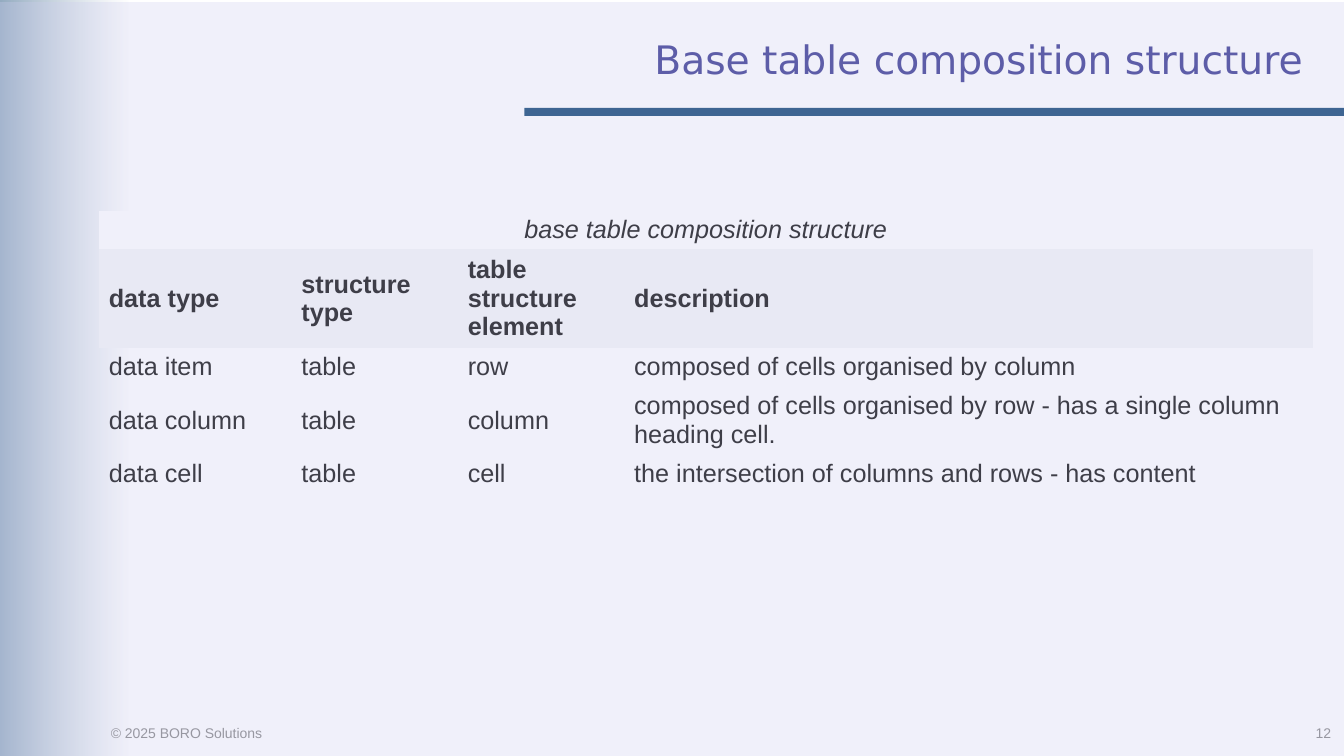
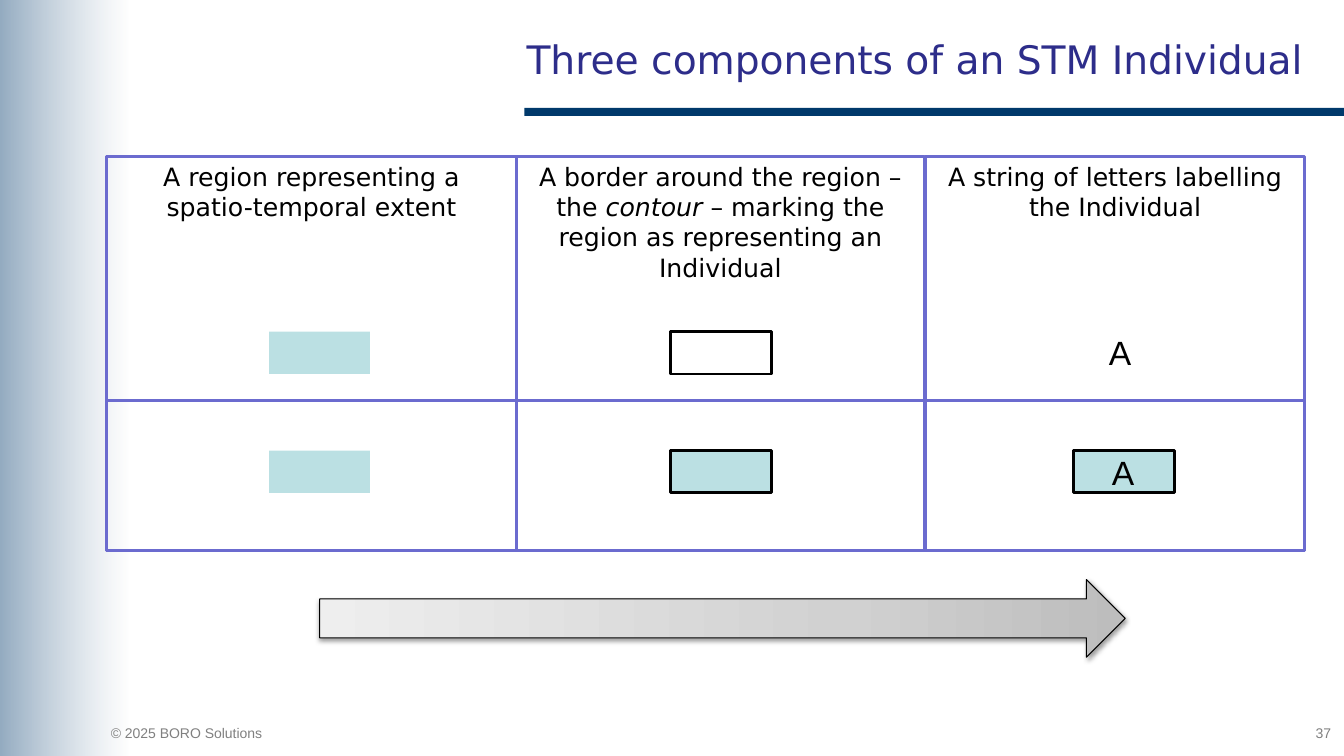
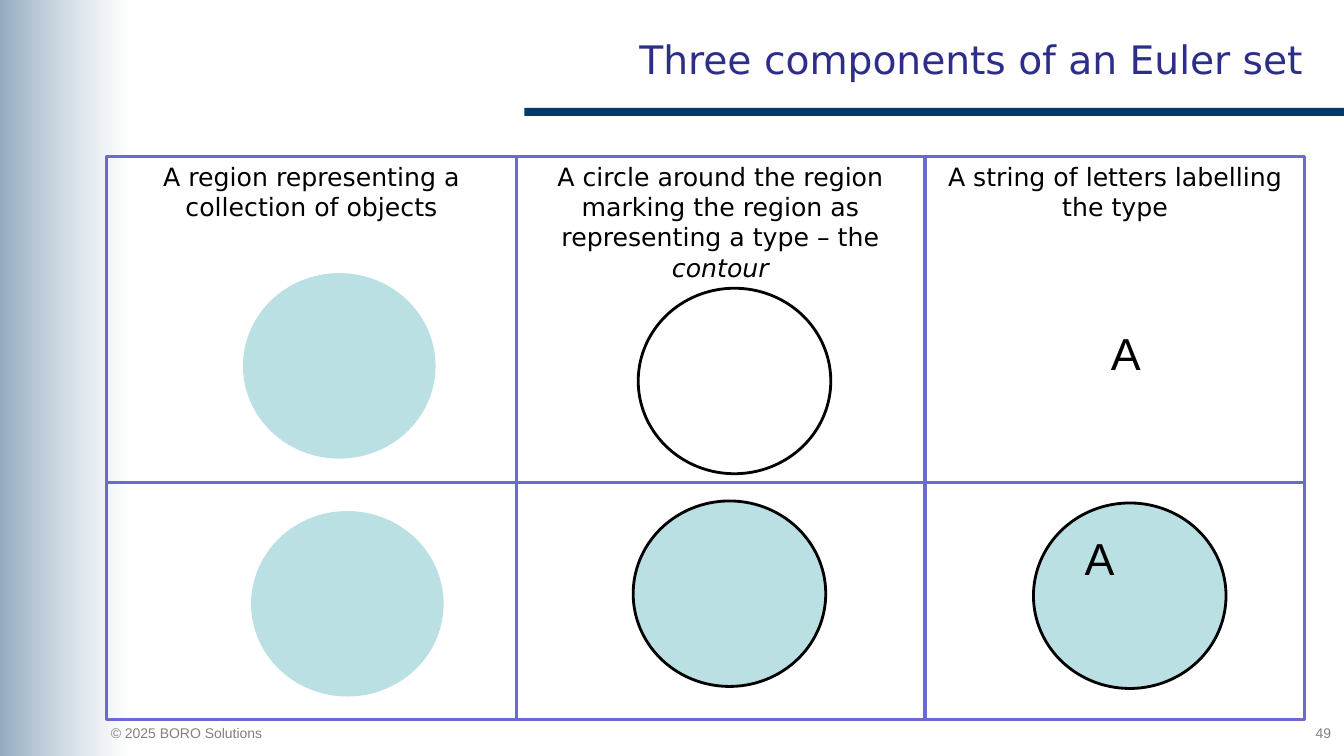
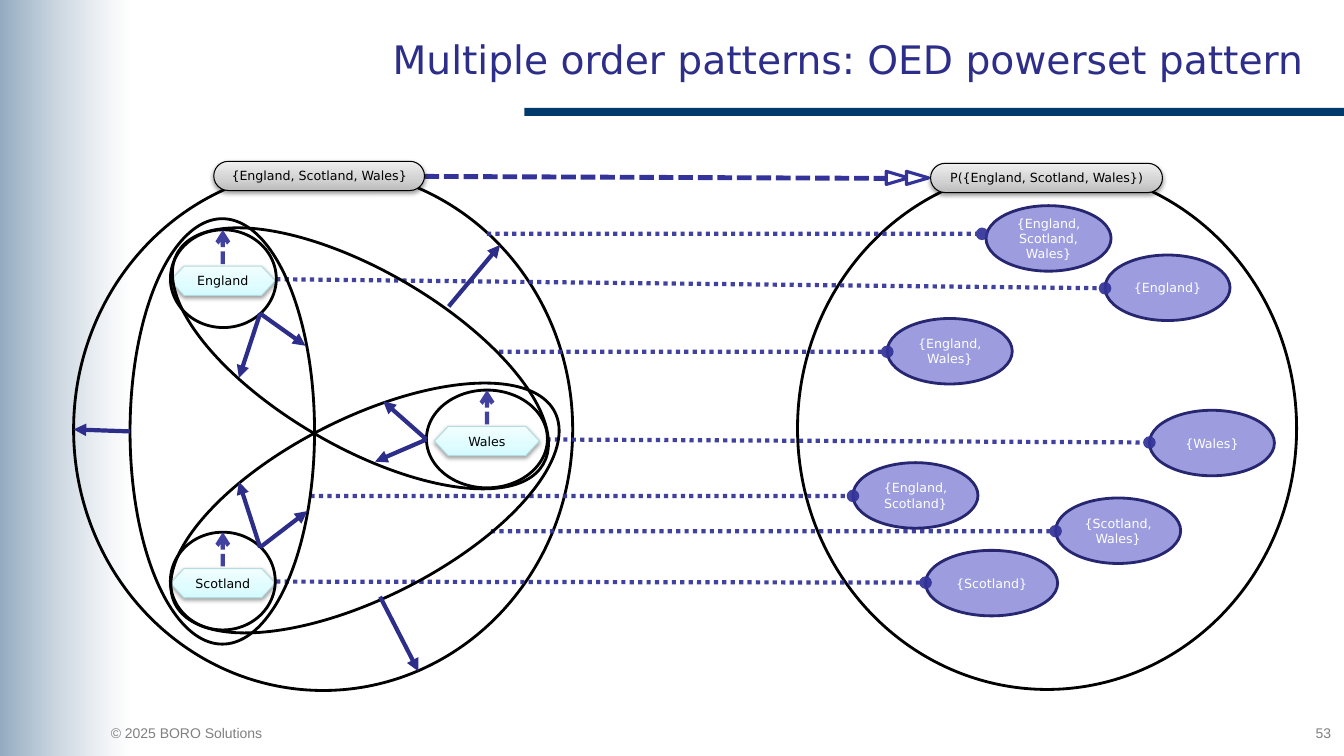
from pptx import Presentation
from pptx.dml.color import RGBColor
from pptx.enum.dml import MSO_LINE
from pptx.enum.shapes import MSO_CONNECTOR, MSO_SHAPE
from pptx.enum.text import MSO_ANCHOR, PP_ALIGN
from pptx.oxml import parse_xml
from pptx.oxml.ns import nsdecls, qn
from pptx.util import Emu, Pt

PX = 9144
RECT, OVAL = MSO_SHAPE.RECTANGLE, MSO_SHAPE.OVAL
PILL, HEX, ARROW = MSO_SHAPE.ROUNDED_RECTANGLE, MSO_SHAPE.HEXAGON, MSO_SHAPE.RIGHT_ARROW
DASH, DOT = MSO_LINE.SQUARE_DOT, MSO_LINE.ROUND_DOT
LINE = MSO_CONNECTOR.STRAIGHT
TOP, MID = MSO_ANCHOR.TOP, MSO_ANCHOR.MIDDLE
LEFT, CENTER, RIGHT = PP_ALIGN.LEFT, PP_ALIGN.CENTER, PP_ALIGN.RIGHT

SANS, ARIAL = "DejaVu Sans", "Arial"
BLACK, WHITE, GREY = "000000", "FFFFFF", "808080"
NAVY, INK, BLUE, LILAC, AQUA = "00396B", "2D2D8A", "333399", "6B6BCF", "BBE0E3"
STEEL = [(0, "BDBDBD", 100), (35, "D1D1D1", 100), (100, "EEEEEE", 100)]
ICE = [(0, "D3FBFF", 100), (35, "DFFCFF", 100), (100, "F2FEFF", 100)]
FADE = [(0, "01396C", 61), (100, WHITE, 41)]
PLAIN = "{2D5ABB26-0587-4C30-8999-92F81FD0307C}"

COLS = [(106, 406), (512, 405), (918, 376)]


def px(*nums):
    return [Emu(n * PX) for n in nums]


def rgb(code):
    return RGBColor.from_string(code)


def xml(text):
    return parse_xml(text.replace(">", " " + nsdecls("a") + ">", 1))


def write(frame, text, size, font=SANS, color=BLACK, align=CENTER, anchor=MID,
          bold=False, slant=False):
    frame.word_wrap = True
    frame.vertical_anchor = anchor
    para = frame.paragraphs[0]
    para.alignment = align
    parts = text.split("_")
    para.text = parts[0]
    for part in parts[1:]:
        para.add_run().text = part
    italic = {run for run in parts[1::2]}
    for run in para.runs:
        run.font.size = Pt(size)
        run.font.name = font
        run.font.bold = bold
        run.font.italic = slant or run.text in italic
        run.font.color.rgb = rgb(color)


def alpha(shape, share):
    for node in shape._element.spPr.iter(qn("a:srgbClr")):
        node.append(xml(f'<a:alpha val="{share * 1000}"/>'.replace("/>", "></a:alpha>")))


def blend(shape, stops, angle):
    shape.fill.background()
    marks = "".join(
        f'<a:gs pos="{at * 1000}"><a:srgbClr val="{code}">'
        f'<a:alpha val="{share * 1000}"/></a:srgbClr></a:gs>'
        for at, code, share in stops)
    grad = xml(f'<a:gradFill rotWithShape="1"><a:gsLst>{marks}</a:gsLst>'
               f'<a:lin ang="{angle * 60000}" scaled="0"/></a:gradFill>')
    props = shape._element.spPr
    props.replace(props.find(qn("a:noFill")), grad)


def shade(shape):
    glow = xml('<a:outerShdw blurRad="40000" dist="20000" dir="5400000" rotWithShape="0">'
               '<a:srgbClr val="000000"><a:alpha val="38000"/></a:srgbClr></a:outerShdw>')
    shape._element.spPr.find(qn("a:effectLst")).append(glow)


def draw(slide, kind, at, fill=None, edge=None, width=2, turn=0):
    shape = slide.shapes.add_shape(kind, *px(*at))
    shape.shadow.inherit = False
    shape.rotation = turn
    if fill:
        shape.fill.solid()
        shape.fill.fore_color.rgb = rgb(fill)
    else:
        shape.fill.background()
    if edge:
        shape.line.color.rgb = rgb(edge)
        shape.line.width = Pt(width)
    else:
        shape.line.fill.background()
    return shape


def badge(slide, kind, at, stops, edge, angle=270, text=""):
    shape = draw(slide, kind, at, edge=edge, width=0.75)
    blend(shape, stops, angle)
    shade(shape)
    if text:
        write(shape.text_frame, text, 9)
    return shape


def link(slide, start, end, color=INK, width=3, dash=None, head=None, share=100):
    line = slide.shapes.add_connector(LINE, *px(*start, *end))
    line.line.color.rgb = rgb(color)
    line.line.width = Pt(width)
    if dash:
        line.line.dash_style = dash
    if share < 100:
        alpha(line, share)
    if head:
        line.line._get_or_add_ln().append(xml(f'<a:tailEnd type="{head}"></a:tailEnd>'))
    line._element.spPr.append(xml("<a:effectLst></a:effectLst>"))


def label(slide, at, text, size, color=BLACK, align=LEFT):
    box = slide.shapes.add_textbox(*px(*at))
    write(box.text_frame, text, size, ARIAL, color, align, TOP)
    return box


def frame(slide):
    rule = draw(slide, RECT, (520, 107, 813, 8), NAVY)
    band = draw(slide, RECT, (0, 0, 127, 750))
    blend(band, FADE, 0)
    veil = draw(slide, RECT, (0, 0, 127, 750), WHITE)
    alpha(veil, 30)
    foot = label(slide, (100, 714, 252, 27), "© 2025 BORO Solutions", 10, GREY)
    tree = slide.slide_layout.shapes._spTree
    for part in (rule, band, veil, foot):
        tree.append(part._element)


def page(deck, title, number):
    slide = deck.slides.add_slide(deck.slide_layouts[5])
    head = slide.shapes.title
    head.left, head.top, head.width, head.height = px(123, 15, 1179, 87)
    write(head.text_frame, title, 28, color=INK, align=RIGHT)
    label(slide, (1202, 714, 128, 31), str(number), 10, GREY, RIGHT)
    return slide


def table(slide, rows, at, widths, heights):
    grid = slide.shapes.add_table(len(rows), len(widths), *px(*at)).table
    grid.first_row = grid.horz_banding = False
    grid._tbl.tblPr.find(qn("a:tableStyleId")).text = PLAIN
    for col, width in zip(grid.columns, px(*widths)):
        col.width = width
    grid.cell(0, 0).merge(grid.cell(0, len(widths) - 1))
    for r, row in enumerate(rows):
        grid.rows[r].height = px(heights[r])[0]
        for c, text in enumerate(row):
            cell = grid.cell(r, c)
            cell.margin_top, cell.margin_bottom = px(4, 4)
            if r < 2:
                cell.fill.solid()
                cell.fill.fore_color.rgb = rgb((WHITE, "F4F5F7")[r])
            else:
                cell.fill.background()
            write(cell.text_frame, text, 18, ARIAL, align=LEFT if r else CENTER,
                  bold=r == 1, slant=r == 0)
            cell.vertical_anchor = MID


def panels(slide, notes, split, bottom):
    for (left, width), note in zip(COLS, notes):
        panel = draw(slide, RECT, (left, 155, width, bottom - 155), edge=LILAC)
        write(panel.text_frame, note, 18, anchor=TOP)
    draw(slide, RECT, (106, split, 1188, bottom - split), edge=LILAC)


def marks(slide, kind, size, spots):
    for left, top, fill, edge in spots:
        draw(slide, kind, (left, top, *size), fill, edge)


def base(deck):
    slide = page(deck, "Base table composition structure", 12)
    frame(slide)
    rows = [
        ["base table composition structure"],
        ["data type", "structure type", "table structure element", "description"],
        ["data item", "table", "row", "composed of cells organised by column"],
        ["data column", "table", "column",
         "composed of cells organised by row - has a single column heading cell."],
        ["data cell", "table", "cell", "the intersection of columns and rows - has content"],
    ]
    table(slide, rows, (98, 209, 1204, 274), (191, 165, 165, 683), (38, 94, 37, 68, 37))
    alpha(draw(slide, RECT, (0, 2, 1333, 748), "CECEEF"), 30)


def parts(deck):
    slide = page(deck, "Three components of an STM Individual", 37)
    panels(slide, [
        "A region representing a spatio-temporal extent",
        "A border around the region – the _contour_ – marking the region as "
        "representing an Individual",
        "A string of letters labelling the Individual"], 397, 546)
    marks(slide, RECT, (100, 42), [
        (267, 329, AQUA, None), (665, 329, None, BLACK),
        (267, 447, AQUA, None), (665, 447, AQUA, BLACK), (1065, 447, AQUA, BLACK)])
    label(slide, (1090, 324, 43, 50), "A", 24)
    label(slide, (1093, 443, 44, 50), "A", 24)
    badge(slide, ARROW, (317, 575, 799, 77), STEEL, BLACK, 180)


def euler(deck):
    slide = page(deck, "Three components of an Euler set", 49)
    panels(slide, [
        "A region representing a collection of objects",
        "A circle around the region marking the region as representing a type – the _contour_",
        "A string of letters labelling the type"], 479, 714)
    marks(slide, OVAL, (191, 184), [
        (241, 271, AQUA, None), (633, 286, None, BLACK),
        (249, 507, AQUA, None), (628, 497, AQUA, BLACK), (1025, 499, AQUA, BLACK)])
    label(slide, (1066, 522, 51, 64), "A", 32)
    label(slide, (1092, 318, 51, 64), "A", 32)


def nation(slide, name, left, top, ring, width):
    shape = badge(slide, HEX, (left, top, 104, 29), ICE, "B6DCDF", text=name)
    shape.adjustments[0] = 0.465
    draw(slide, OVAL, (ring, top - 36, width, 97), edge=BLACK)
    mid = left + 52
    link(slide, (mid, top - 2), (mid, top - 36), BLUE, 3, DASH, "arrow", 93)


def power(deck):
    slide = page(deck, "Multiple order patterns: OED powerset pattern", 53)
    for left, top in ((73, 167), (791, 166)):
        draw(slide, OVAL, (left, top, 495, 518), edge=BLACK)

    sets = [
        ("{England, Scotland, Wales}", (978, 204), 124, (483, 232), (974, 232)),
        ("{England}", (1096, 253), 124, (274, 277), (1096, 286)),
        ("{England, Scotland}", (846, 459), 124, (308, 492), (846, 492)),
        ("{Wales}", (1140, 407), 124, (542, 436), (1140, 439)),
        ("{Scotland, Wales}", (1047, 494), 124, (487, 527), (1047, 527)),
        ("{England,\vWales}", (880, 316), 124, (495, 349), (880, 349)),
        ("{Scotland}", (918, 546), 131, (274, 577), (918, 578)),
    ]
    for text, spot, width, start, end in sets:
        shape = draw(slide, OVAL, (*spot, width, 65), "9C9CDF", "262671")
        write(shape.text_frame, text, 9, color=WHITE)
        link(slide, start, end, BLUE, 3, DOT, "oval", 93)

    for left in (879, 899):
        tip = draw(slide, ARROW, (left, 170, 22, 13), WHITE, BLUE, 2.25)
        tip.adjustments[0], tip.adjustments[1] = 0.219, 1.769
    link(slide, (421, 175), (879, 177), BLUE, 3.5, DASH)

    nation(slide, "England", 169, 264, 169, 105)
    nation(slide, "Wales", 431, 423, 423, 120)
    nation(slide, "Scotland", 169, 564, 169, 104)

    for at, turn in (((129, 217, 183, 422), 0), ((270, 146, 175, 419), 300.1),
                     ((273, 293, 178, 422), 63.2)):
        draw(slide, OVAL, at, edge=BLACK, turn=turn)

    for at, text in (((923, 162, 230, 29), "P({England, Scotland, Wales})"),
                     ((212, 160, 209, 29), "{England, Scotland, Wales}")):
        badge(slide, PILL, at, STEEL, BLACK, text=text).adjustments[0] = 0.5

    rays = [
        ((258, 311), [(237, 375), (303, 343)]),
        ((258, 543), [(237, 478), (305, 507)]),
        ((423, 436), [(380, 398), (372, 458)]),
        ((129, 428), [(73, 426)]),
        ((445, 304), [(496, 243)]),
        ((377, 592), [(415, 666)]),
    ]
    for start, ends in rays:
        for end in ends:
            link(slide, start, end, head="triangle")


def main():
    deck = Presentation()
    deck.slide_width, deck.slide_height = px(1333, 750)
    base(deck)
    parts(deck)
    euler(deck)
    power(deck)
    deck.save("out.pptx")


if __name__ == "__main__":
    main()
